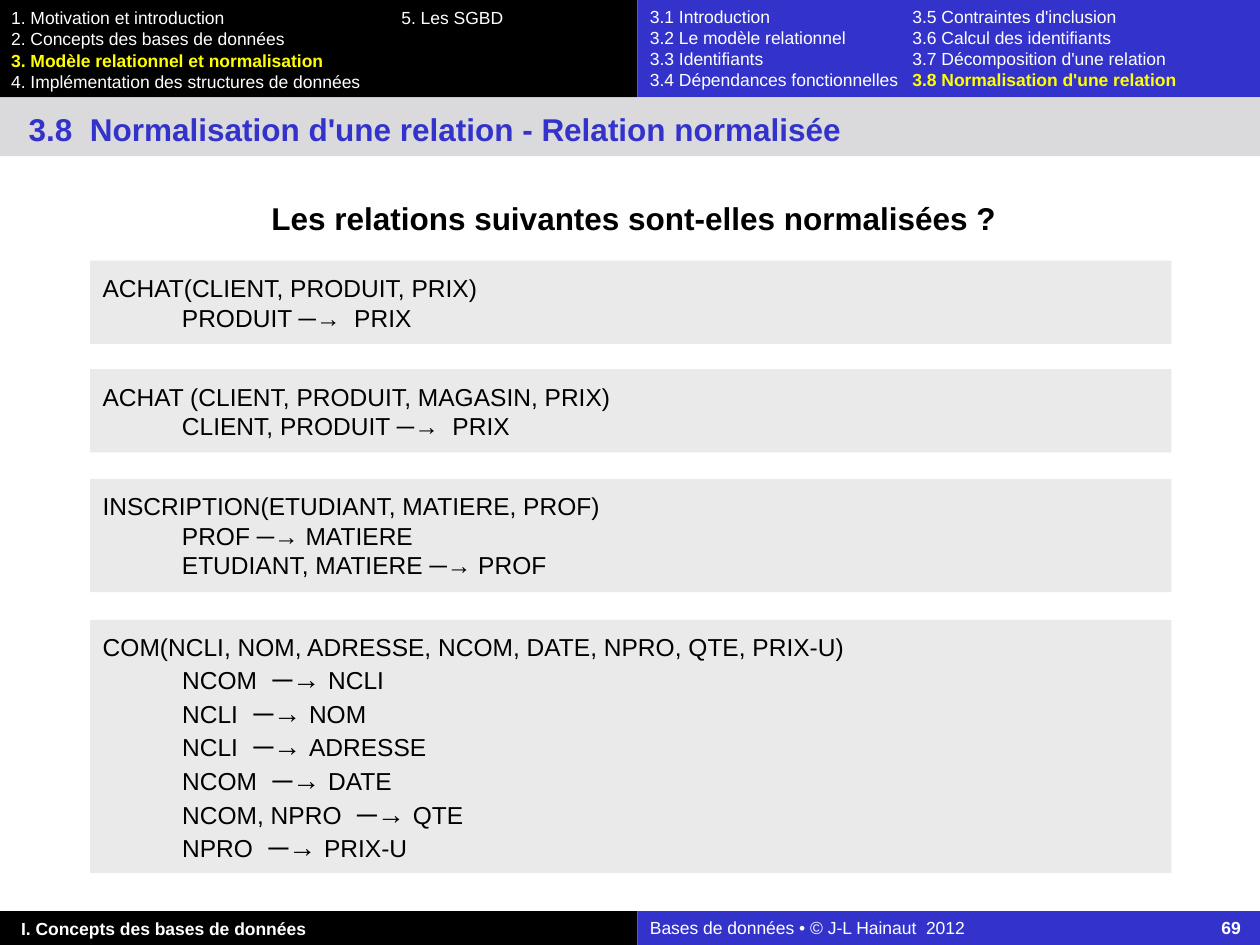
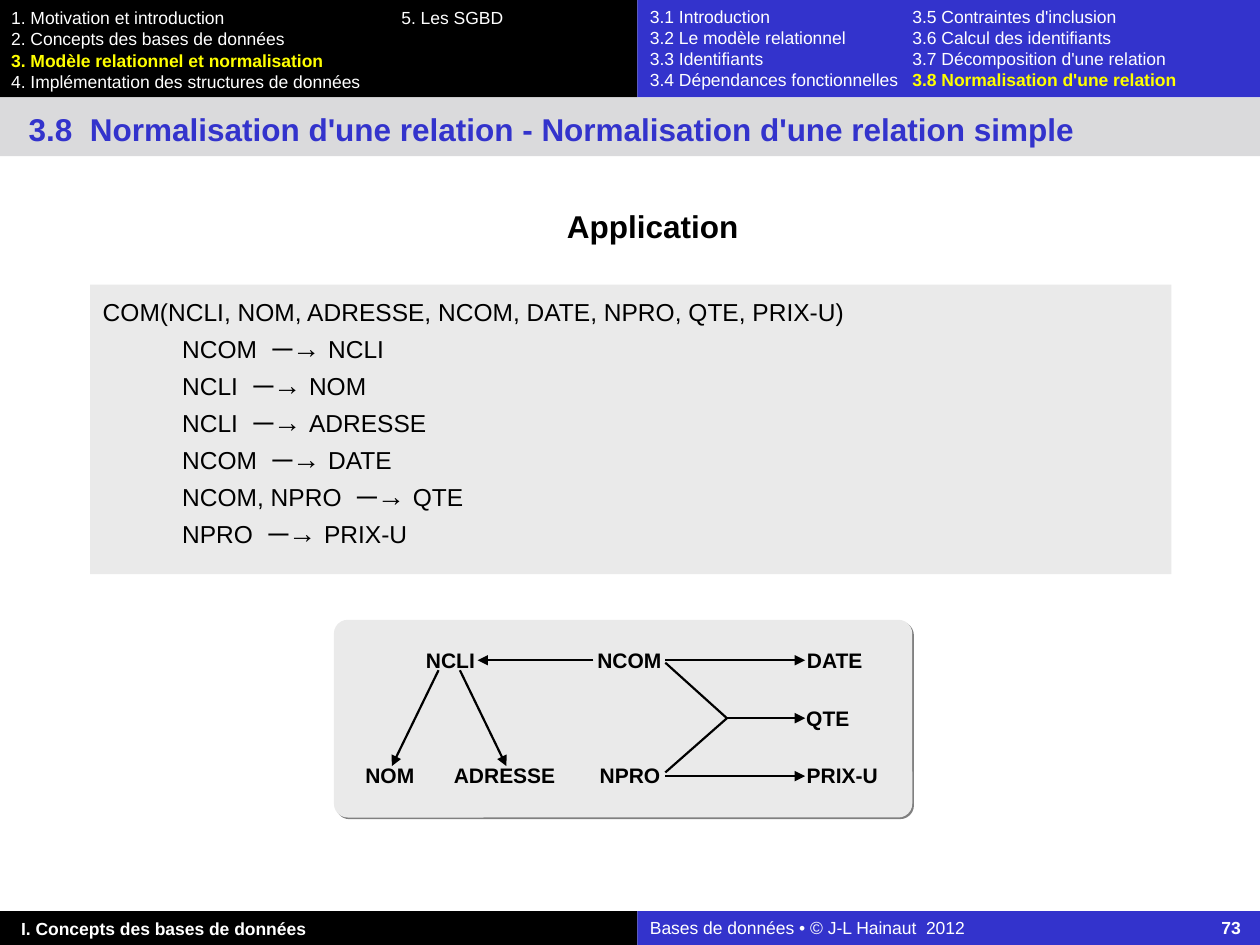
from lxml.etree import SubElement
from pptx import Presentation
from pptx.dml.color import RGBColor
from pptx.enum.shapes import MSO_CONNECTOR as Link, MSO_SHAPE as Form
from pptx.enum.text import MSO_ANCHOR as Anchor, MSO_AUTO_SIZE as Fit, PP_ALIGN as Align
from pptx.oxml.ns import qn
from pptx.util import Pt

BLACK, WHITE, BLUE, YELLOW = "000000", "FFFFFF", "3333CC", "FFFF00"
BAND, PANEL, SHADE = "DADADC", "EAEAEA", "808080"
FONT = "Arial"
WIDE, HIGH, SPLIT = 720, 540, 364.3
TOP, FOOT = 55.6, 520.6
LEFT, SPAN, INDENT = 51.5, 617.8, 45.36

PARTS = ["1. Motivation et introduction\t5. Les SGBD", "2. Concepts des bases de données",
         "3. Modèle relationnel et normalisation", "4. Implémentation des structures de données"]
TOPICS = ["3.1 Introduction\t3.5 Contraintes d'inclusion",
          "3.2 Le modèle relationnel\t3.6 Calcul des identifiants",
          "3.3 Identifiants\t3.7 Décomposition d'une relation",
          "3.4 Dépendances fonctionnelles\t3.8 Normalisation d'une relation"]
NOW = {"3. Modèle relationnel et normalisation", "3.8 Normalisation d'une relation"}
PART = "I. Concepts des bases de données"
CREDIT = "Bases de données • © J-L Hainaut  2012"

ORDER = ("COM(NCLI, NOM, ADRESSE, NCOM, DATE, NPRO, QTE, PRIX-U)", "  ─→ ",
         [("NCOM", "NCLI"), ("NCLI", "NOM"), ("NCLI", "ADRESSE"), ("NCOM", "DATE"),
          ("NCOM, NPRO", "QTE"), ("NPRO", "PRIX-U")])
CASES = [
    (149, 47.5, "ACHAT(CLIENT, PRODUIT, PRIX)", " ─→  ", [("PRODUIT", "PRIX")]),
    (211, 47.5, "ACHAT (CLIENT, PRODUIT, MAGASIN, PRIX)", " ─→  ",
     [("CLIENT, PRODUIT", "PRIX")]),
    (273.6, 64.8, "INSCRIPTION(ETUDIANT, MATIERE, PROF)", " ─→ ",
     [("PROF", "MATIERE"), ("ETUDIANT, MATIERE", "PROF")]),
]
SLIDES = [
    dict(page="69", title="3.8  Normalisation d'une relation - Relation normalisée",
         lead="Les relations suivantes sont-elles normalisées ?", spot=(51.8, 106.6),
         cases=CASES, order=(354.2, 144.7), gap=0, graph=False),
    dict(page="73", title="3.8  Normalisation d'une relation - Normalisation d'une relation simple",
         lead="Application", spot=(62.6, 110.9),
         cases=[], order=(162.7, 165.4), gap=2, graph=True),
]

ROW, STEP = 370, 33
NODES = [("NCLI", 243.4, 0, 28), ("NCOM", 341.3, 0, 36.7), ("DATE", 460.8, 0, 32.4),
         ("QTE", 460.8, 1, 24.5), ("NOM", 208.8, 2, 28), ("ADRESSE", 259.2, 2, 58.3),
         ("NPRO", 342.7, 2, 34.6), ("PRIX-U", 460.8, 2, 41)]
FORK = (415.4, 410.4)
JOINS = [((380.2, 378.7), FORK), (FORK, (380.2, 441.4))]
ARROWS = [(FORK, (460.1, 410.4)), ((380.2, 377.3), (460.1, 377.3)),
          ((380.2, 443.5), (460.1, 443.5)), ((339.1, 377.3), (272.9, 377.3)),
          ((250.6, 383), (223.9, 437.8)), ((262.8, 383), (289.4, 437.8))]


def tint(code):
    return RGBColor.from_string(code)


def place(shape, *area):
    shape.left, shape.top, shape.width, shape.height = map(Pt, area)


def paint(shape, color):
    shape.fill.solid()
    shape.fill.fore_color.rgb = tint(color)
    shape.line.fill.background()


def block(slide, color, *area, form=Form.RECTANGLE):
    shape = slide.shapes.add_shape(form, *map(Pt, area))
    shape.shadow.inherit = False
    paint(shape, color)
    return shape


def setup(shape, pads=(7.2, 3.6, 7.2, 3.6), wrap=True, anchor=Anchor.TOP):
    frame = shape.text_frame
    frame.auto_size = Fit.NONE
    frame.word_wrap = wrap
    frame.vertical_anchor = anchor
    frame.margin_left, frame.margin_top, frame.margin_right, frame.margin_bottom = map(Pt, pads)
    return frame


def style(run, size, color, bold=False):
    font = run.font
    font.name, font.size, font.bold = FONT, Pt(size), bold
    font.color.rgb = tint(color)


def phrase(frame, text, size, color, align=Align.LEFT):
    frame.text = text
    para = frame.paragraphs[0]
    para.alignment = align
    style(para.runs[0], size, color, True)


def label(slide, text, size, color, *area, align=Align.LEFT, **look):
    box = slide.shapes.add_textbox(*map(Pt, area))
    phrase(setup(box, **look), text, size, color, align)


def lines(frame):
    yield frame.paragraphs[0]
    while True:
        yield frame.add_paragraph()


def menu(slide, rows, area, stop, hot, glow, side="l"):
    frame = setup(slide.shapes.add_textbox(*map(Pt, area)))
    for row, para in zip(rows, lines(frame)):
        tabs = SubElement(para._p.get_or_add_pPr(), qn("a:tabLst"))
        SubElement(tabs, qn("a:tab"), pos=str(Pt(stop)), algn=side)
        for i, part in enumerate(row.split("\t")):
            run = para.add_run()
            run.text = "\t" + part if i else part
            live = part in hot
            style(run, 10, glow if live else WHITE, live)


def panel(shape, head, arrow, deps, size=14, gap=0):
    frame = setup(shape, (7.2,) * 4)
    rows = [[(head, 14)]] + [[(a, 14), (arrow, size), (b, 14)] for a, b in deps]
    for i, (row, para) in enumerate(zip(rows, lines(frame))):
        props = para._p.get_or_add_pPr()
        props.set("marL", str(Pt(INDENT if i else 0)))
        props.set("indent", "0")
        SubElement(props, qn("a:buNone"))
        para.alignment = Align.LEFT
        para.space_before = Pt(gap if i else 0)
        for text, points in row:
            run = para.add_run()
            run.text = text
            style(run, points, BLACK)


def join(slide, start, end, tip=False):
    line = slide.shapes.add_connector(Link.STRAIGHT, *map(Pt, start + end))
    line.line.color.rgb = tint(BLACK)
    line.line.width = Pt(1.25)
    if tip:
        SubElement(line.line._get_or_add_ln(), qn("a:tailEnd"), type="triangle")
    SubElement(line._element.spPr, qn("a:effectLst"))


def graph(slide):
    card = block(slide, PANEL, 190.8, 354.2, 330.5, 113, form=Form.ROUNDED_RECTANGLE)
    card.adjustments[0] = 0.07
    glow = SubElement(card._element.spPr.find(qn("a:effectLst")), qn("a:outerShdw"),
                      dist=str(Pt(1.4)), dir=str(45 * 60000), algn="ctr", rotWithShape="0")
    SubElement(glow, qn("a:srgbClr"), val=SHADE)
    for name, x, row, width in NODES:
        label(slide, name, 12, BLACK, x, ROW + row * STEP, width, 14.4,
              align=Align.CENTER, pads=(0,) * 4, wrap=False, anchor=Anchor.MIDDLE)
    for ends in JOINS:
        join(slide, *ends)
    for ends in ARROWS:
        join(slide, *ends, tip=True)


def bands(slide, page):
    rest = WIDE - SPLIT
    for y, height in (0, TOP), (FOOT, HIGH - FOOT):
        block(slide, BLACK, 0, y, SPLIT, height)
        block(slide, BLUE, SPLIT, y, rest, height)
    menu(slide, PARTS, (-0.7, 0.7, 365, TOP), 223, NOW, YELLOW)
    menu(slide, TOPICS, (SPLIT, 0, rest, TOP), 150, NOW, YELLOW)
    label(slide, PART, 10, WHITE, 5, FOOT + 0.5, 355, 19)
    menu(slide, [f"{CREDIT}\t{page}"], (SPLIT, FOOT, rest, 19), 337.7, {page}, WHITE, "r")


def build(deck, page, title, lead, spot, cases, order, gap, graph_on):
    slide = deck.slides.add_slide(deck.slide_layouts[1])
    head, body = slide.placeholders
    place(head, 0, TOP, WIDE, 33.6)
    paint(head, BAND)
    phrase(setup(head, (16.4, 7.2, 7.2, 0)), title, 18, BLUE)
    bands(slide, page)
    label(slide, lead, 18, BLACK, *spot, SPAN, 36, align=Align.CENTER, pads=(4.3, 7.2, 1.4, 7.2))
    for y, height, *case in cases:
        panel(block(slide, PANEL, LEFT, y, SPAN, height), *case)
    y, height = order
    place(body, LEFT, y, SPAN, height)
    paint(body, PANEL)
    panel(body, *ORDER, size=16, gap=gap)
    if graph_on:
        graph(slide)


def main():
    deck = Presentation()
    deck.slide_width, deck.slide_height = Pt(WIDE), Pt(HIGH)
    for item in SLIDES:
        build(deck, *item.values())
    deck.save("out.pptx")


if __name__ == "__main__":
    main()
